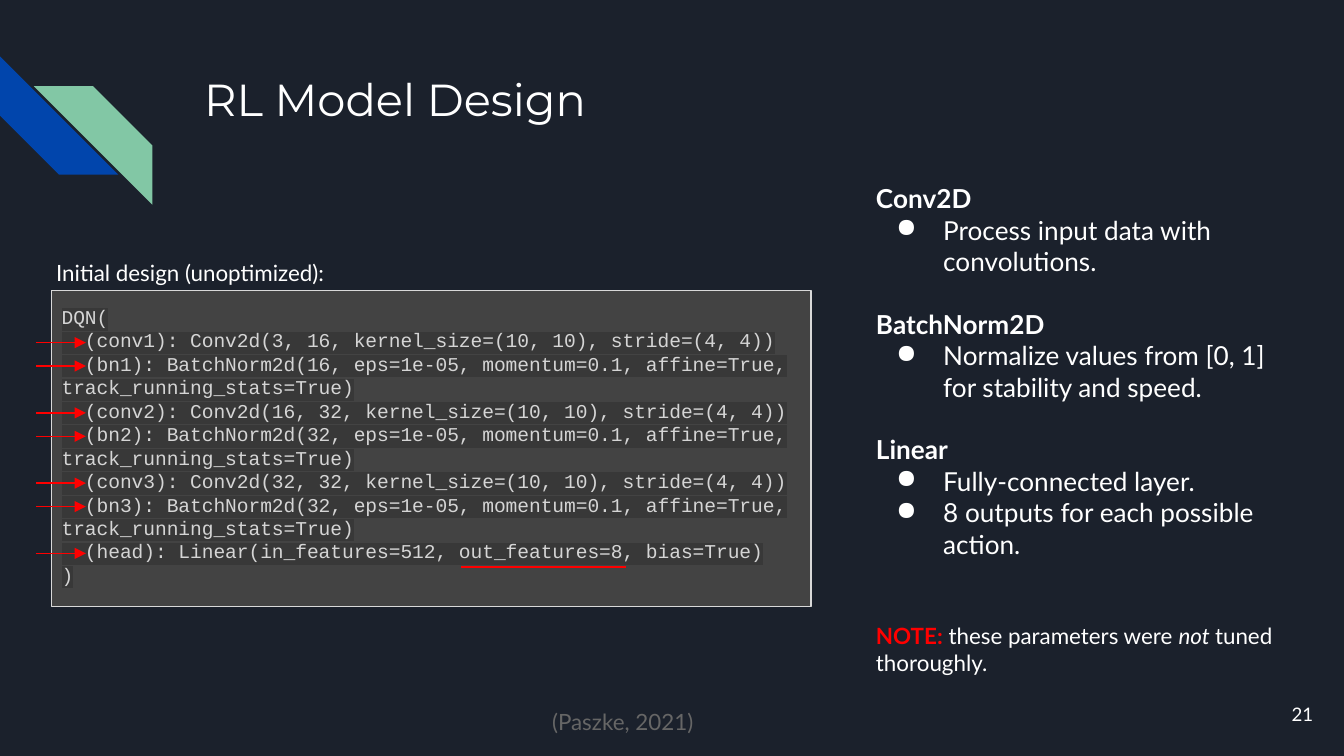
"""Build the RL Model Design slide with its network listing and layer notes."""
from dataclasses import dataclass

import lxml.etree
import pptx
import pptx.dml.color
import pptx.enum.shapes
import pptx.enum.text
import pptx.oxml.ns
import pptx.util

Pt = pptx.util.Pt
Shape = pptx.enum.shapes.MSO_SHAPE
Anchor = pptx.enum.text.MSO_ANCHOR
Align = pptx.enum.text.PP_ALIGN

WHITE, RED = "FFFFFF", "FF0000"
LINE_PITCH = 12.55
INSET = 7.2


@dataclass(frozen=True)
class Area:
    left: float
    top: float
    width: float
    height: float

    def lengths(self):
        return Pt(self.left), Pt(self.top), Pt(self.width), Pt(self.height)


@dataclass(frozen=True)
class Span:
    text: str
    color: str = WHITE
    bold: bool = False
    italic: bool = False


@dataclass(frozen=True)
class Layer:
    name: str
    notes: tuple[str, ...]


@dataclass(frozen=True)
class Label:
    text: str
    area: Area
    size: float = 12
    color: str = WHITE
    align: Align = Align.LEFT
    anchor: Anchor = Anchor.TOP


CODE = (
    "DQN(",
    "  (conv1): Conv2d(3, 16, kernel_size=(10, 10), stride=(4, 4))",
    "  (bn1): BatchNorm2d(16, eps=1e-05, momentum=0.1, affine=True, track_running_stats=True)",
    "  (conv2): Conv2d(16, 32, kernel_size=(10, 10), stride=(4, 4))",
    "  (bn2): BatchNorm2d(32, eps=1e-05, momentum=0.1, affine=True, track_running_stats=True)",
    "  (conv3): Conv2d(32, 32, kernel_size=(10, 10), stride=(4, 4))",
    "  (bn3): BatchNorm2d(32, eps=1e-05, momentum=0.1, affine=True, track_running_stats=True)",
    "  (head): Linear(in_features=512, out_features=8, bias=True)",
    ")",
)
ARROW_ROWS = (1, 2, 4, 5, 7, 8, 10)

LAYERS = (
    Layer("Conv2D", ("Process input data with convolutions.",)),
    Layer("BatchNorm2D", ("Normalize values from [0, 1] for stability and speed.",)),
    Layer("Linear", ("Fully-connected layer.", "8 outputs for each possible action.")),
)
CAUTION = (
    Span("NOTE:", RED, bold=True),
    Span(" these parameters were "),
    Span("not ", italic=True),
    Span("tuned thoroughly."),
)
LABELS = (
    Label("21", Area(667.4, 367.2, 43.2, 31), 10, align=Align.RIGHT, anchor=Anchor.MIDDLE),
    Label("Initial design (unoptimized):", Area(23, 131.8, 165.6, 28.8)),
    Label("(Paszke, 2021)", Area(288.7, 372.2, 92, 28.8), color="666666"),
)


def rgb(code: str) -> pptx.dml.color.RGBColor:
    return pptx.dml.color.RGBColor.from_string(code)


def add_element(parent, tag: str, **attributes: str):
    return lxml.etree.SubElement(parent, pptx.oxml.ns.qn(tag), attributes)


def format_font(font, name: str, size: float, color: str) -> None:
    font.name = name
    font.size = Pt(size)
    font.color.rgb = rgb(color)


def prepare_frame(frame, anchor=Anchor.TOP) -> None:
    frame.word_wrap = True
    frame.auto_size = pptx.enum.text.MSO_AUTO_SIZE.NONE
    frame.vertical_anchor = anchor
    frame.margin_left = frame.margin_right = Pt(INSET)
    frame.margin_top = frame.margin_bottom = Pt(INSET)


def add_box(page, area: Area, anchor=Anchor.TOP):
    frame = page.shapes.add_textbox(*area.lengths()).text_frame
    prepare_frame(frame, anchor)
    return frame


def add_shape(page, kind: Shape, area: Area, fill: str, rotation: float = 0):
    shape = page.shapes.add_shape(kind, *area.lengths())
    shape.shadow.inherit = False
    shape.fill.solid()
    shape.fill.fore_color.rgb = rgb(fill)
    shape.line.fill.background()
    shape.rotation = rotation
    return shape


def add_line(page, left: float, right: float, top: float, arrow: bool) -> None:
    line = page.shapes.add_connector(
        pptx.enum.shapes.MSO_CONNECTOR.STRAIGHT, Pt(left), Pt(top), Pt(right), Pt(top)
    )
    line.line.color.rgb = rgb(RED)
    line.line.width = Pt(0.75)
    if arrow:
        add_element(line.line._get_or_add_ln(), "a:tailEnd", type="triangle")
    add_element(line._element.spPr, "a:effectLst")


def add_label(page, label: Label) -> None:
    para = add_box(page, label.area, label.anchor).paragraphs[0]
    para.text = label.text
    para.alignment = label.align
    format_font(para.runs[0].font, "Lato", label.size, label.color)


def add_code(page) -> None:
    frame = add_box(page, Area(25.9, 156.2, 419, 169.2))
    frame.text = "\n".join(CODE)
    for para in frame.paragraphs:
        para.line_spacing = Pt(LINE_PITCH)
        span = para.runs[0]
        format_font(span.font, "Courier New", 10.5, "D5D5D5")
        highlight = lxml.etree.Element(pptx.oxml.ns.qn("a:highlight"))
        add_element(highlight, "a:srgbClr", val="383838")
        span.font._element.find(pptx.oxml.ns.qn("a:solidFill")).addnext(highlight)


def add_bullet(para) -> None:
    properties = para._p.get_or_add_pPr()
    properties.set("marL", str(Pt(36)))
    properties.set("indent", str(Pt(-25.2)))
    color = add_element(properties, "a:buClr")
    add_element(color, "a:srgbClr", val=WHITE)
    add_element(properties, "a:buChar", char="●")


def add_spans(para, spans: tuple[Span, ...], size: float) -> None:
    for item in spans:
        span = para.add_run()
        span.text = item.text
        format_font(span.font, "Lato", size, item.color)
        span.font.bold = item.bold
        span.font.italic = item.italic


def add_layer_notes(page) -> None:
    frame = add_box(page, Area(462.2, 90.7, 231.1, 281.5))
    for index, layer in enumerate(LAYERS):
        para = frame.add_paragraph() if index else frame.paragraphs[0]
        para.space_before = Pt(16.8 if index else 0)
        add_spans(para, (Span(layer.name, bold=True),), 14)
        for note in layer.notes:
            para = frame.add_paragraph()
            add_bullet(para)
            add_spans(para, (Span(note),), 14)
    para = frame.add_paragraph()
    para.space_before = Pt(33.6)
    add_spans(para, CAUTION, 12)


def add_title(page) -> None:
    title = page.shapes.title
    title.left, title.top, title.width, title.height = Area(102.2, 31, 554.4, 46).lengths()
    prepare_frame(title.text_frame)
    title.text_frame.text = "RL Model Design"
    para = title.text_frame.paragraphs[0]
    para.alignment = Align.LEFT
    format_font(para.runs[0].font, "Montserrat", 24, WHITE)


def main() -> None:
    deck = pptx.Presentation()
    deck.slide_width, deck.slide_height = Pt(720), Pt(405)
    page = deck.slides.add_slide(deck.slide_layouts[5])
    page.background.fill.solid()
    page.background.fill.fore_color.rgb = rgb("1B212C")

    add_shape(page, Shape.DIAGONAL_STRIPE, Area(0, 30.2, 63.4, 63.4), "0145AC", 270)
    add_shape(page, Shape.DIAGONAL_STRIPE, Area(18.2, 46.2, 63.4, 63.4), "82C7A5", 90)
    panel = add_shape(page, Shape.RECTANGLE, Area(27.6, 155.8, 406.8, 169.2), "434343")
    panel.line.color.rgb = rgb("D9D9D9")
    panel.line.width = Pt(0.75)
    add_title(page)
    add_code(page)
    add_layer_notes(page)
    for label in LABELS:
        add_label(page, label)
    for row in ARROW_ROWS:
        add_line(page, 19.4, 46, 171 + row * LINE_PITCH, arrow=True)
    add_line(page, 247, 335.5, 303.8, arrow=False)
    deck.save("out.pptx")


if __name__ == "__main__":
    main()
